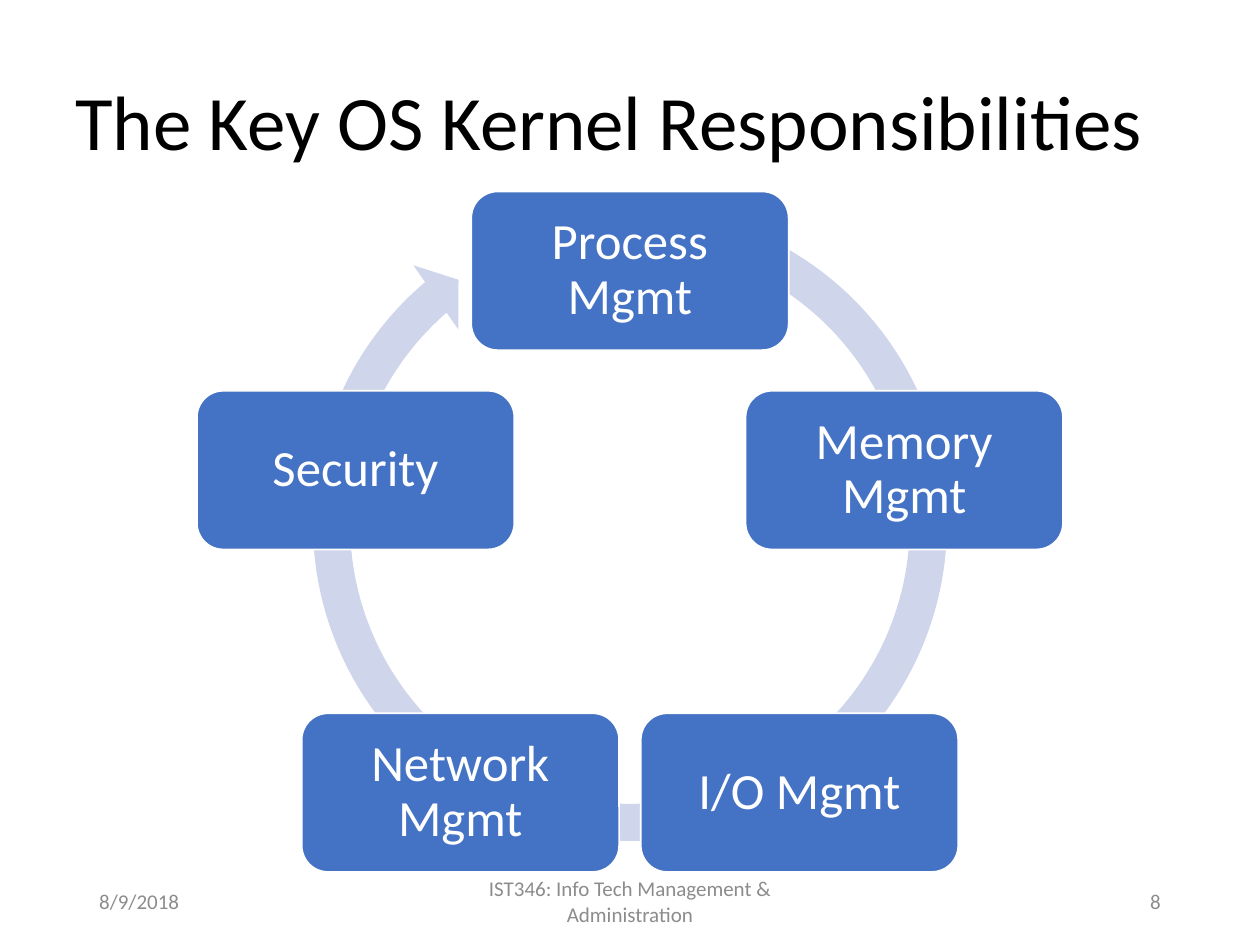
from math import cos, pi, sin

from pptx import Presentation
from pptx.dml.color import RGBColor
from pptx.enum.shapes import MSO_SHAPE
from pptx.enum.text import MSO_ANCHOR, PP_ALIGN
from pptx.util import Cm, Pt

FONT = "Calibri"
BLUE, PALE, GREY = "4472C4", "CFD5EA", "8C8C8C"
WHITE, BLACK = "FFFFFF", "000000"
NODES = ["Process Mgmt", "Memory Mgmt", "I/O Mgmt", "Network Mgmt", "Security"]


def rgb(value):
    return RGBColor.from_string(value)


def write(sp, text, size, color, align=PP_ALIGN.LEFT, spacing=1.0):
    tf = sp.text_frame
    tf.word_wrap = True
    tf.vertical_anchor = MSO_ANCHOR.MIDDLE
    p = tf.paragraphs[0]
    p.alignment = align
    p.line_spacing = spacing
    r = p.add_run()
    r.text = text
    r.font.name = FONT
    r.font.size = Pt(size)
    r.font.color.rgb = rgb(color)


def add_text(s, box, *args, **kwargs):
    write(s.shapes.add_textbox(*map(Cm, box)), *args, **kwargs)


def add_filled(s, kind, box, fill):
    sp = s.shapes.add_shape(kind, *map(Cm, box))
    sp.shadow.inherit = False
    sp.fill.solid()
    sp.fill.fore_color.rgb = rgb(fill)
    sp.line.fill.background()
    return sp


def add_node(s, box, text):
    sp = add_filled(s, MSO_SHAPE.ROUNDED_RECTANGLE, box, BLUE)
    sp.line.color.rgb = rgb(WHITE)
    sp.line.width = Pt(1)
    tf = sp.text_frame
    tf.margin_left = tf.margin_right = Cm(0.3)
    tf.margin_top = tf.margin_bottom = Cm(0.3)
    write(sp, text, 29, WHITE, PP_ALIGN.CENTER, 0.9)


def add_cycle(s, box, labels):
    """Spread the labels clockwise from the top, over a circular arrow."""
    left, top, width, height = box
    node_w, node_h = 6.4, 3.2
    step = 2 * pi / len(labels)
    radius = (width - node_w) / (2 * sin(step))
    cx, cy = left + width / 2, top + node_h / 2 + radius

    ring = 13.61
    arrow = add_filled(s, MSO_SHAPE.CIRCULAR_ARROW,
                       (cx - ring / 2, top - 0.1, ring, ring), PALE)
    # Band width, head angle, end angle, start angle, head width
    for i, value in enumerate((0.055, 3.307, 137.655, 173.923, 0.058)):
        arrow.adjustments[i] = value

    for i, label in enumerate(labels):
        x = cx + radius * sin(i * step) - node_w / 2
        y = cy - radius * cos(i * step) - node_h / 2
        add_node(s, (x, y, node_w, node_h), label)


def add_footer(s, box):
    left, top, width, height = box
    side_w, mid_w = 5.72, 8.57
    parts = [
        (0, side_w, "8/9/2018", PP_ALIGN.LEFT),
        ((width - mid_w) / 2, mid_w,
         "IST346: Info Tech Management & Administration", PP_ALIGN.CENTER),
        (width - side_w, side_w, "8", PP_ALIGN.RIGHT),
    ]
    for x, w, text, align in parts:
        add_text(s, (left + x, top, w, height), text, 12, GREY, align)


def main():
    prs = Presentation()
    prs.slide_width, prs.slide_height = Cm(25.4), Cm(19.05)
    s = prs.slides.add_slide(prs.slide_layouts[6])
    add_text(s, (1.27, 1.47, 22.86, 2.11),
             "The Key OS Kernel Responsibilities", 44, BLACK, spacing=0.9)
    add_cycle(s, (3.97, 3.86, 17.46, 13.7), NODES)
    add_footer(s, (1.75, 17.66, 21.9, 1.01))
    prs.save("out.pptx")


if __name__ == "__main__":
    main()
